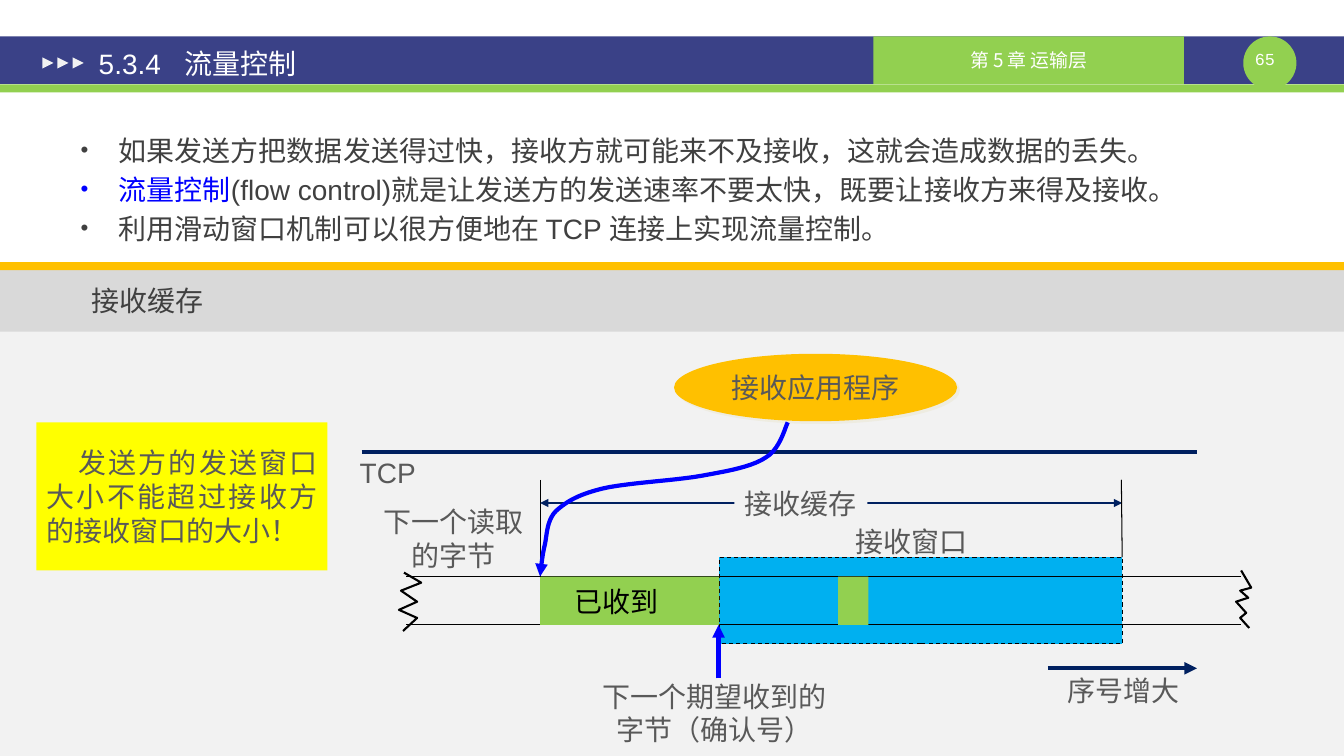
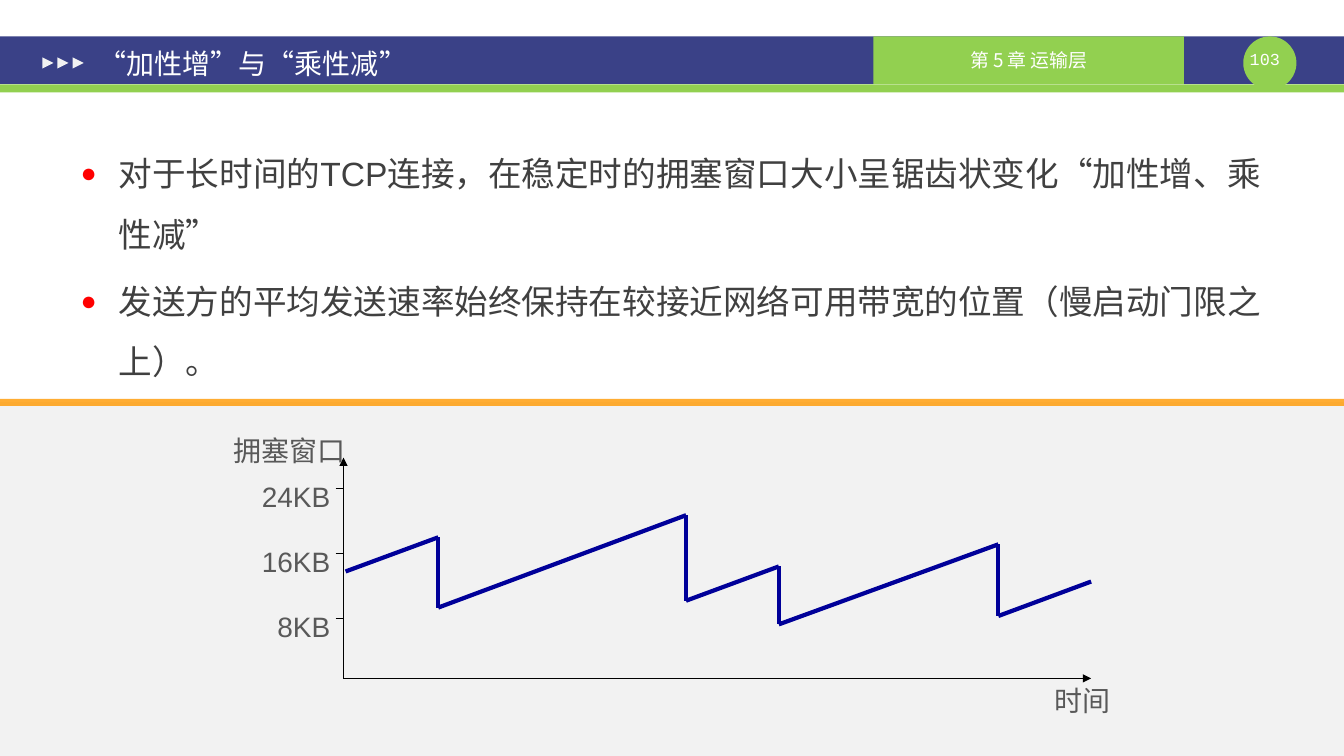
from lxml.etree import SubElement
from pptx import Presentation
from pptx.dml.color import RGBColor
from pptx.enum.dml import MSO_LINE
from pptx.enum.lang import MSO_LANGUAGE_ID as Lang
from pptx.enum.shapes import MSO_CONNECTOR, MSO_SHAPE as Preset
from pptx.enum.text import MSO_ANCHOR as Anchor, MSO_AUTO_SIZE as AutoSize, PP_ALIGN as Align
from pptx.oxml.ns import qn
from pptx.util import Pt

WIDTH, HEIGHT = 960.48, 540
LINE_HEIGHT, LABEL_PAD = 24, 7.7
COLORS = {
    "white": "FFFFFF", "black": "000000", "band": "3A4187", "green": "92D050",
    "panel": "F2F2F2", "header": "D9D9D9", "gold": "FFC000", "orange": "FF9900",
    "body": "404040", "label": "595959", "term": "0000FF", "navy": "002060",
    "window": "00B0F0", "note": "FFFF00", "bullet": "FF0000", "saw": "000099",
    "shade": "EEECE1",
}
PLACEHOLDER_FRAME = {
    "margin_left": Pt(9.36), "margin_right": Pt(9.36), "margin_top": Pt(5),
    "margin_bottom": Pt(5), "word_wrap": True, "auto_size": AutoSize.NONE,
}


def rgb(name):
    return RGBColor.from_string(COLORS[name])


def apply(target, formats):
    for key, value in formats.items():
        setattr(target, key, value)


def place(shape, left, top, width, height):
    apply(shape, {"left": Pt(left), "top": Pt(top), "width": Pt(width), "height": Pt(height)})


def bezier(start, first, second, end, steps=10):
    for step in range(1, steps + 1):
        t = step / steps
        weights = ((1 - t) ** 3, 3 * t * (1 - t) ** 2, 3 * t * t * (1 - t), t ** 3)
        yield tuple(sum(w * p[axis] for w, p in zip(weights, (start, first, second, end)))
                    for axis in (0, 1))


class Deck:
    def __init__(self):
        self.show = Presentation()
        apply(self.show, {"slide_width": Pt(WIDTH), "slide_height": Pt(HEIGHT)})
        self.slide = None

    def page(self, number):
        self.slide = self.show.slides.add_slide(self.show.slide_layouts[1])
        self.block((0, 26, WIDTH, 34), "band")
        self.block((0, 60.2, WIDTH, 5.8), "green")
        self.block((888.5, 26, 38, 38), "green", Preset.OVAL)
        self.label((884.9, 34.6), [number], 38, size=12, color="white", font="Courier New",
                   frame={"margin_left": 0, "margin_right": 0, "margin_top": 0, "margin_bottom": 0})
        chapter = self.block((624.2, 26, 221.8, 34), "green")
        self.set_text(chapter, ["第 5 章 运输层"], size=13.5, color="white",
                      font="Noto Sans CJK SC", align=Align.CENTER,
                      frame={"vertical_anchor": Anchor.MIDDLE})
        for index in range(3):
            marker = self.block((30.2 + 10.8 * index, 41, 8, 8), "panel", Preset.ISOSCELES_TRIANGLE)
            marker.rotation = 90

    def set_text(self, shape, lines, size=20, color="label", font="Arial", align=Align.LEFT,
                 frame=None, spacing=None):
        text_frame = shape.text_frame
        apply(text_frame, {"word_wrap": True, **(frame or {})})
        for index, line in enumerate(lines):
            paragraph = text_frame.add_paragraph() if index else text_frame.paragraphs[0]
            apply(paragraph, {"alignment": align, "space_before": Pt(0), "space_after": Pt(0)})
            if index and spacing:
                paragraph.space_before = Pt(spacing)
            for words, tint in [(line, color)] if isinstance(line, str) else line:
                run = paragraph.add_run()
                run.text = words
                apply(run.font, {"name": font, "size": Pt(size), "bold": False,
                                 "language_id": Lang.SIMPLIFIED_CHINESE})
                run.font.color.rgb = rgb(tint)
        return text_frame.paragraphs

    def raise_placeholder(self, placeholder, box):
        place(placeholder, *box)
        self.slide.shapes._spTree.append(placeholder._element)
        return placeholder

    def title(self, text, tab=61):
        heading = self.raise_placeholder(self.slide.shapes.title, (61.2, 28, 419.8, 34))
        for paragraph in self.set_text(heading, [text], color="white",
                                       frame={**PLACEHOLDER_FRAME,
                                              "vertical_anchor": Anchor.MIDDLE}):
            stops = SubElement(paragraph._p.get_or_add_pPr(), qn("a:tabLst"))
            SubElement(stops, qn("a:tab"), pos=str(Pt(tab)), algn="l")

    def bullets(self, lines, height, size, mark, mark_color=None, line_spacing=1.0):
        points = self.raise_placeholder(self.slide.placeholders[1], (48.2, 90, 864.7, height))
        for paragraph in self.set_text(points, lines, size, "body", spacing=size * 0.2,
                                       frame={**PLACEHOLDER_FRAME, "vertical_anchor": Anchor.TOP}):
            paragraph.line_spacing = line_spacing
            properties = paragraph._p.get_or_add_pPr()
            properties.set("marL", str(Pt(27.36)))
            properties.set("indent", str(Pt(-27.36)))
            if mark_color:
                tint = SubElement(properties, qn("a:buClr"))
                SubElement(tint, qn("a:srgbClr"), val=COLORS[mark_color])
            SubElement(properties, qn("a:buSzPct"), val="80000")
            SubElement(properties, qn("a:buFont"), typeface="Arial")
            SubElement(properties, qn("a:buChar"), char=mark)

    def block(self, box, fill, preset=Preset.RECTANGLE, alpha=None, dashed=False):
        shape = self.slide.shapes.add_shape(preset, *map(Pt, box))
        shape.shadow.inherit = False
        shape.fill.solid()
        shape.fill.fore_color.rgb = rgb(fill)
        if alpha:
            color = shape._element.spPr.find(qn("a:solidFill"))[0]
            SubElement(color, qn("a:alpha"), val=str(alpha * 1000))
        if dashed:
            self.stroke(shape, "black", 0.75)
            shape.line.dash_style = MSO_LINE.DASH
        else:
            shape.line.fill.background()
        return shape

    def cast_shadow(self, shape, color, distance):
        effects = shape._element.spPr.find(qn("a:effectLst"))
        shadow = SubElement(effects, qn("a:outerShdw"), blurRad="0",
                            dist=str(Pt(distance)), dir="2700000")
        SubElement(shadow, qn("a:srgbClr"), val=COLORS[color])

    def label(self, corner, lines, width, align=Align.CENTER, fill=None, frame=None, **style):
        height = LINE_HEIGHT * len(lines) + LABEL_PAD
        box = self.slide.shapes.add_textbox(*map(Pt, (*corner, width, height)))
        if fill:
            box.fill.solid()
            box.fill.fore_color.rgb = rgb(fill)
        self.set_text(box, lines, align=align, frame={"word_wrap": False, **(frame or {})}, **style)

    def stroke(self, shape, color, weight, ends=()):
        shape.line.color.rgb = rgb(color)
        shape.line.width = Pt(weight)
        outline = shape._element.spPr.find(qn("a:ln"))
        for end in ends:
            SubElement(outline, qn(f"a:{end}End"), type="triangle")

    def line(self, start, end, color="black", weight=0.75, ends=()):
        rule = self.slide.shapes.add_connector(MSO_CONNECTOR.STRAIGHT, *map(Pt, (*start, *end)))
        self.stroke(rule, color, weight, ends)
        SubElement(rule._element.spPr, qn("a:effectLst"))

    def outline(self, points, color, weight, ends=()):
        corners = [(Pt(x), Pt(y)) for x, y in points]
        builder = self.slide.shapes.build_freeform(*corners[0])
        builder.add_line_segments(corners[1:], close=False)
        trace = builder.convert_to_shape()
        trace.shadow.inherit = False
        trace.fill.background()
        self.stroke(trace, color, weight, ends)


def flow_control(deck):
    deck.page("65")
    deck.block((0, 193, WIDTH, 347), "panel")
    deck.block((0, 192.2, WIDTH, 44.8), "header")
    deck.label((58.3, 198.7), ["接收缓存"], 846, Align.LEFT, color="body", frame={"word_wrap": True})
    deck.block((0, 187.2, WIDTH, 5.8), "gold")
    deck.title("5.3.4\t流量控制")
    deck.bullets([
        "如果发送方把数据发送得过快，接收方就可能来不及接收，这就会造成数据的丢失。",
        [("流量控制", "term"),
         ("(flow control)就是让发送方的发送速率不要太快，既要让接收方来得及接收。", "body")],
        "利用滑动窗口机制可以很方便地在 TCP 连接上实现流量控制。",
    ], 95, 20, "•")

    stream_top, stream_height = 411.8, 34.6
    stream_bottom = stream_top + stream_height
    read_x, expected_x, buffer_end = 386, 514, 802
    deck.block((expected_x, 398, buffer_end - expected_x, 62), "window", dashed=True)
    application = deck.block((481.7, 252.7, 202.3, 48.2), "gold", Preset.OVAL)
    deck.cast_shadow(application, "shade", 2.8)
    deck.set_text(application, ["接收应用程序"], align=Align.CENTER,
                  frame={"word_wrap": False, "vertical_anchor": Anchor.MIDDLE})
    deck.line((258.5, 322.6), (855.4, 322.6), "navy", 3)
    for y in (stream_top, stream_bottom):
        deck.line((290.2, y), (887, y))
    for left, width in ((read_x, expected_x - read_x), (599, 21.6)):
        deck.block((left, stream_top, width, stream_height), "green")
    deck.label((403.2, 414), ["已收到"], 75, color="black")
    deck.label((604, 370.8), ["接收窗口"], 95)
    deck.line((read_x, 342.7), (read_x, stream_top))
    deck.label((249.8, 321.8), ["TCP"], 54.7)
    deck.line((read_x, 359.3), (buffer_end, 359.3), "navy", ends=("head", "tail"))
    deck.label((524.9, 344.2), ["接收缓存"], 95, fill="panel")
    deck.line((801.4, 342.7), (buffer_end, 398))

    knots = [(563, 301.7), (560.9, 306), (557.3, 321.1), (547.2, 326.9),
             (537.1, 333.4), (522, 336.2), (501.8, 339.8),
             (482.4, 343.4), (447.1, 344.9), (429.8, 349.2),
             (412.6, 353.5), (404.6, 358.6), (397.4, 365),
             (391, 371.5), (391, 380.9), (389.5, 388.8),
             (387.4, 396.7), (386.6, 407.5), (read_x, stream_top)]
    reading = knots[:1]
    for index in range(0, len(knots) - 1, 3):
        reading.extend(bezier(*knots[index:index + 4]))
    deck.outline(reading, "term", 3, ("tail",))

    deck.label((266.4, 357.1), ["下一个读取", "的字节"], 115.2)
    deck.line((748.8, 477.4), (855.4, 477.4), "navy", 3, ("tail",))
    deck.label((755.3, 477.4), ["序号增大"], 95)
    deck.label((422.6, 481.7), ["下一个期望收到的", "字节（确认号）"], 176.4)
    deck.line((513.5, 484.6), (513.5, stream_bottom), "term", 3, ("tail",))
    right_tear = [(887, 407.5), (894.2, 419.8), (886.3, 421.9), (892.1, 427),
                  (883.4, 429.8), (890.6, 437.8), (886.3, 441.4), (892.8, 448.6)]
    left_tear = [(288.7, 409), (301, 416.2), (286.6, 421.9), (298.1, 429.8),
                 (285.1, 435.6), (298.1, 441.4), (288, 450.7)]
    for tear in (right_tear, left_tear):
        deck.outline(tear, "black", 1.5)
    note = deck.block((26, 301.7, 208, 105.8), "note")
    for paragraph in deck.set_text(note, ["发送方的发送窗口大小不能超过接收方的接收窗口的大小！"],
                                   align=Align.JUSTIFY, frame={"vertical_anchor": Anchor.MIDDLE}):
        paragraph._p.get_or_add_pPr().set("indent", str(Pt(23)))


def additive_increase(deck):
    deck.page("103")
    deck.block((0, 287.3, WIDTH, 252.7), "panel")
    deck.bullets([
        "对于长时间的TCP连接，在稳定时的拥塞窗口大小呈锯齿状变化“加性增、乘性减”",
        "发送方的平均发送速率始终保持在较接近网络可用带宽的位置（慢启动门限之上）。",
    ], 396, 24, "●", "bullet", 1.5)
    deck.title("“加性增”与“乘性减”")

    axis_x, axis_y, time_end = 245.5, 484.6, 779.8
    deck.line((axis_x, 326.9), (axis_x, axis_y), ends=("head",))
    deck.line((axis_x, axis_y), (time_end, axis_y), ends=("tail",))
    for index, (size, width) in enumerate((("24KB", 64), ("16KB", 64), ("8KB", 52.6))):
        tick = 349.2 + 46.4 * index
        deck.line((239.8, tick), (axis_x, tick))
        deck.label((243.2 - width, tick - 10.4), [size], width, Align.RIGHT)
    deck.label((746.6, 484.6), ["时间"], 54.7)
    deck.label((159.1, 306), ["拥塞窗口"], 95)
    congestion = [(247, 408.2), (313.2, 383.8), (313.2, 434), (490.3, 368), (490.3, 429.1),
                  (556.6, 404.6), (556.6, 446), (713.5, 388.8), (713.5, 440), (779.8, 415.4)]
    for start, end in zip(congestion, congestion[1:]):
        deck.line(start, end, "saw", 3)
    deck.block((0, 285, WIDTH, 5), "orange", alpha=80)


def main():
    deck = Deck()
    flow_control(deck)
    additive_increase(deck)
    deck.show.save("out.pptx")


if __name__ == "__main__":
    main()
